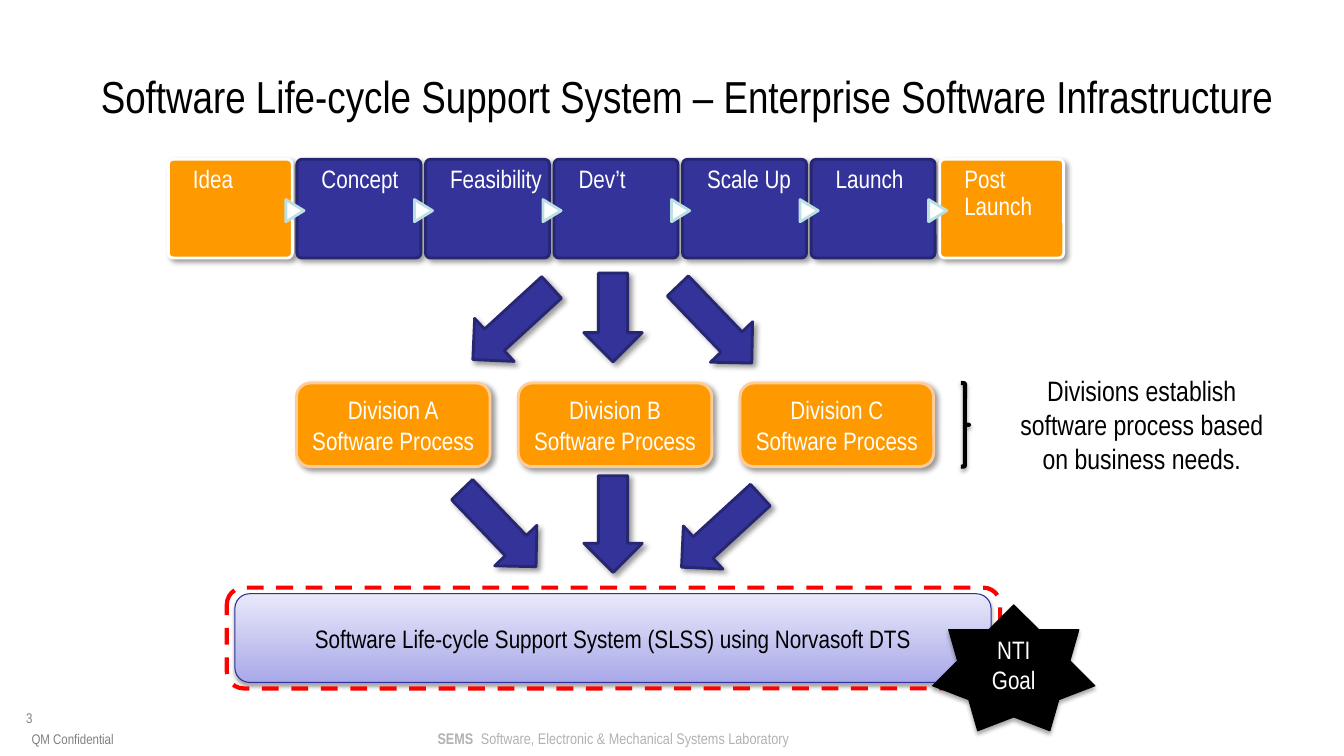
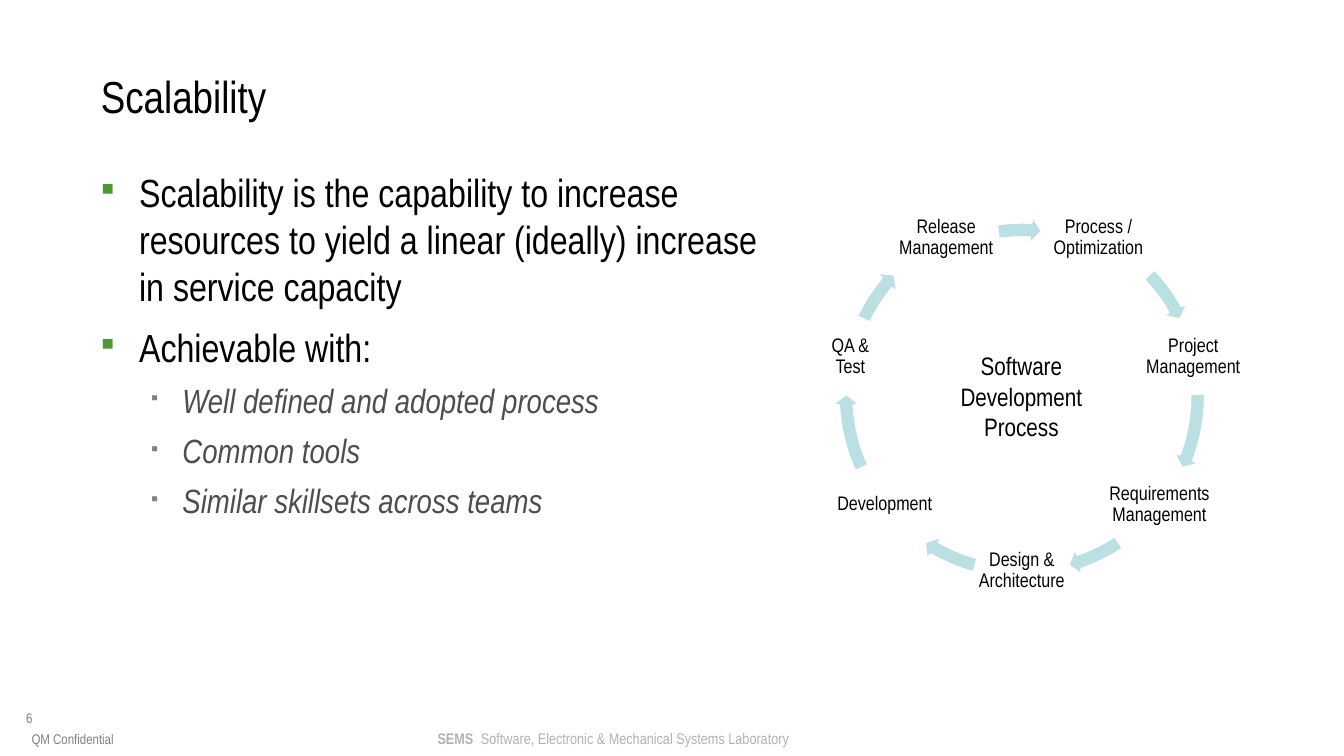
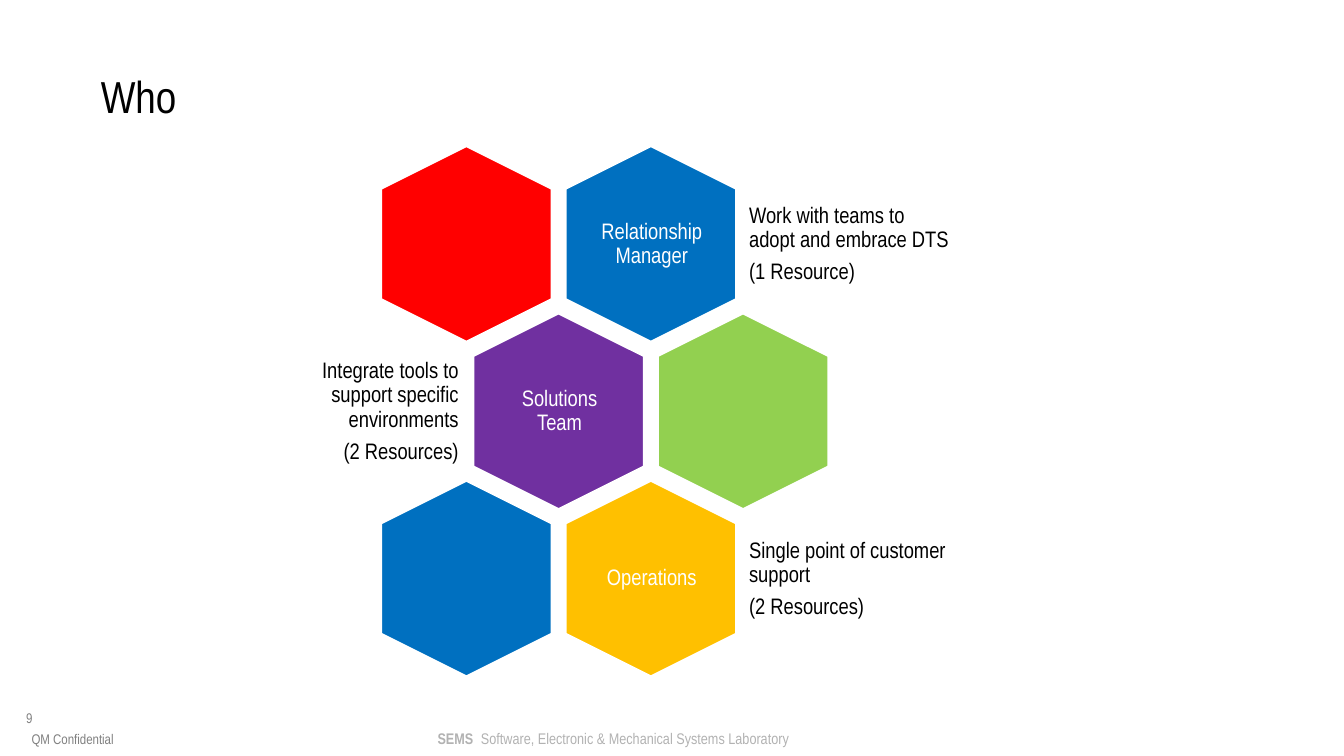
from dataclasses import dataclass

from lxml.etree import SubElement
from pptx import Presentation
from pptx.dml.color import RGBColor
from pptx.enum.dml import MSO_LINE
from pptx.enum.shapes import MSO_SHAPE
from pptx.enum.text import MSO_ANCHOR, MSO_AUTO_SIZE, PP_ALIGN
from pptx.oxml.ns import qn
from pptx.util import Inches, Pt


@dataclass(frozen=True)
class Theme:
    font: str = "Arial Narrow"
    black: str = "000000"
    white: str = "FFFFFF"
    navy: str = "333399"
    navy_edge: str = "262671"
    orange: str = "FF9900"
    peach: str = "FFCC99"
    lilac_dark: str = "A9A9E9"
    lilac_light: str = "E8E8FA"
    lilac_edge: str = "2F2F98"
    aqua: str = "BBE0E3"
    red: str = "FF0000"
    blue: str = "0070C0"
    purple: str = "7030A0"
    lime: str = "92D050"
    amber: str = "FFC000"
    bullet_green: str = "4C9933"
    dark_gray: str = "4D4D4D"
    gray: str = "808080"
    light_gray: str = "B2B2B2"
    title_size: int = 32
    body_size: int = 28
    sub_size: int = 24
    note_size: int = 20
    label_size: int = 18
    role_size: int = 16
    step_size: int = 14
    lab_size: int = 11
    footer_size: int = 10
    # Shadows: opacity %, blur pt, distance pt, direction in degrees
    soft_shadow: tuple = (40, 4, 3, 45)
    drop_shadow: tuple = (35, 3.1, 1.8, 90)


theme = Theme()


def write(shape, text, size, color, align=PP_ALIGN.LEFT, anchor=MSO_ANCHOR.TOP,
          margins=(0, 0, 0, 0), line_spacing=None, gap=0):
    """Fill a shape with one paragraph per line; margins are left, top, right, bottom."""
    frame = shape.text_frame
    frame.text = text
    frame.word_wrap = True
    frame.auto_size = MSO_AUTO_SIZE.NONE
    frame.vertical_anchor = anchor
    frame.margin_left, frame.margin_top, frame.margin_right, frame.margin_bottom = map(Inches, margins)
    for paragraph in frame.paragraphs:
        paragraph.alignment = align
        paragraph.line_spacing = line_spacing
        paragraph.space_after = Pt(gap)
        paragraph.font.name = theme.font
        paragraph.font.size = Pt(size)
        paragraph.font.color.rgb = RGBColor.from_string(color)
    return frame


def add_figure(page, kind, at, fill=None, line=theme.white, width=2, shadow=None, rotation=0):
    """Add a preset shape with its fill, outline and optional shadow."""
    shape = page.shapes.add_shape(kind, *map(Inches, at))
    shape.rotation = rotation
    if fill:
        shape.fill.solid()
        shape.fill.fore_color.rgb = RGBColor.from_string(fill)
    else:
        shape.fill.background()
    shape.line.color.rgb = RGBColor.from_string(line)
    shape.line.width = Pt(width)
    shape.shadow.inherit = False
    if shadow:
        opacity, blur, distance, direction = shadow
        effects = shape._element.spPr.find(qn("a:effectLst"))
        outer = SubElement(effects, qn("a:outerShdw"), blurRad=str(Pt(blur)), dist=str(Pt(distance)),
                           dir=str(direction * 60000), rotWithShape="0")
        tint = SubElement(outer, qn("a:srgbClr"), val=theme.black)
        SubElement(tint, qn("a:alpha"), val=str(opacity * 1000))
    return shape


deck = Presentation()
deck.slide_width, deck.slide_height = Inches(13.33), Inches(7.5)

# Shared parts: title, page number, footers
pages = []
for number, title in (
    (3, "Software Life-cycle Support System – Enterprise Software Infrastructure"),
    (6, "Scalability"),
    (9, "Who"),
):
    page = deck.slides.add_slide(deck.slide_layouts[5])
    pages.append(page)
    heading = page.shapes.title
    heading.left, heading.top, heading.width, heading.height = map(Inches, (1, 0.68, 12, 0.58))
    write(heading, title, theme.title_size, theme.black)

    box = page.shapes.add_textbox(*map(Inches, (0.26, 7.04, 0.71, 0.25)))
    write(box, str(number), theme.footer_size, theme.gray)
    box = page.shapes.add_textbox(*map(Inches, (0.11, 7.19, 1.22, 0.22)))
    write(box, "QM Confidential", theme.footer_size, theme.gray, PP_ALIGN.CENTER, MSO_ANCHOR.BOTTOM)

    box = page.shapes.add_textbox(*map(Inches, (4.34, 7.23, 3.7, 0.19)))
    paragraph = write(box, "SEMS", theme.lab_size, theme.light_gray).paragraphs[0]
    paragraph.runs[0].font.bold = True
    paragraph.add_run().text = "\tSoftware, Electronic & Mechanical Systems Laboratory"
    properties = paragraph._p.get_or_add_pPr()
    tabs = SubElement(properties, qn("a:tabLst"))
    SubElement(tabs, qn("a:tab"), pos=str(Inches(0.43)), algn="l")
    properties.find(qn("a:defRPr")).addprevious(tabs)

infrastructure, scalability, who = pages

# Life-cycle phases
phases = ["Idea", "Concept", "Feasibility", "Dev’t", "Scale Up", "Launch", "Post Launch"]
for index, phase in enumerate(phases):
    left = 1.67 + index * 1.275
    outer_phase = index in (0, len(phases) - 1)
    fill, edge = (theme.orange, theme.white) if outer_phase else (theme.navy, theme.navy_edge)
    card = add_figure(infrastructure, MSO_SHAPE.ROUNDED_RECTANGLE, (left, 1.58, 1.23, 0.98),
                      fill, edge, shadow=theme.soft_shadow)
    card.adjustments[0] = 0.05
    write(card, phase, theme.label_size, theme.white, margins=(0.23, 0.06, 0.04, 0), line_spacing=0.9)
    if index:
        add_figure(infrastructure, MSO_SHAPE.FLOWCHART_EXTRACT, (left - 0.13, 2, 0.22, 0.18),
                   theme.white, theme.aqua, rotation=90)

# Division processes
for index, division in enumerate("ABC"):
    card = add_figure(infrastructure, MSO_SHAPE.ROUNDED_RECTANGLE, (2.94 + index * 2.2, 3.8, 1.92, 0.83),
                      theme.orange, theme.peach, shadow=theme.soft_shadow)
    write(card, f"Division {division}\nSoftware Process", theme.label_size, theme.white,
          PP_ALIGN.CENTER, MSO_ANCHOR.MIDDLE, (0.1, 0.05, 0.1, 0.05))

add_figure(infrastructure, MSO_SHAPE.RIGHT_BRACE, (9.53, 3.8, 0.08, 0.83),
           line=theme.black, width=3, shadow=theme.drop_shadow)
box = infrastructure.shapes.add_textbox(*map(Inches, (9.9, 3.66, 2.85, 1.11)))
write(box, "Divisions establish software process based on business needs.", theme.note_size,
      theme.black, PP_ALIGN.CENTER, margins=(0.1, 0.05, 0.1, 0.05))

# Support system and goal
system = add_figure(infrastructure, MSO_SHAPE.ROUNDED_RECTANGLE, (2.33, 5.89, 7.5, 0.88),
                    line=theme.lilac_edge, width=0.75, shadow=theme.drop_shadow)
system.fill.gradient()
system.fill.gradient_angle = 90
for stop, color, position in zip(system.fill.gradient_stops, (theme.lilac_dark, theme.lilac_light), (0, 1)):
    stop.color.rgb = RGBColor.from_string(color)
    stop.position = position
write(system, "Software Life-cycle Support System (SLSS) using Norvasoft DTS", theme.label_size,
      theme.black, PP_ALIGN.CENTER, MSO_ANCHOR.MIDDLE)
frame_line = add_figure(infrastructure, MSO_SHAPE.ROUNDED_RECTANGLE, (2.25, 5.83, 7.67, 1),
                        line=theme.red, width=3)
frame_line.line.dash_style = MSO_LINE.DASH
goal = add_figure(infrastructure, MSO_SHAPE.STAR_7_POINT, (9.25, 6, 1.61, 1.25), theme.black,
                  theme.black, 0.75, theme.drop_shadow)
write(goal, "NTI\nGoal", theme.label_size, theme.white, PP_ALIGN.CENTER, MSO_ANCHOR.MIDDLE)

# Arrows between the levels
for left, top, height, rotation in (
    (5.79, 2.71, 0.88, 0), (6.8, 2.69, 1.06, 316.2), (4.79, 2.68, 1.06, 47.5),
    (5.79, 4.72, 0.96, 0), (4.66, 4.71, 1.06, 316.2), (6.86, 4.74, 1.06, 47.5),
):
    add_figure(infrastructure, MSO_SHAPE.DOWN_ARROW, (left, top, 0.58, height), theme.navy,
               theme.navy_edge, shadow=theme.soft_shadow, rotation=rotation)

# Scalability bullets
points = [
    (0, "Scalability is the capability to increase resources to yield a linear (ideally) increase in service capacity"),
    (0, "Achievable with:"),
    (1, "Well defined and adopted process"),
    (1, "Common tools"),
    (1, "Similar skillsets across teams"),
]
# Per level: indent, hang, bullet colour, bullet size %, space before, space after, size, colour
levels = [
    (0.38, 0.38, theme.bullet_green, 100, 5.6, 4.2, theme.body_size, theme.black),
    (0.81, 0.31, theme.gray, 60, 2.4, 4.8, theme.sub_size, theme.dark_gray),
]
box = scalability.shapes.add_textbox(*map(Inches, (1, 1.67, 6.71, 4.53)))
frame = write(box, "\n".join(text for _, text in points), theme.body_size, theme.black)
for index, (paragraph, (level, _)) in enumerate(zip(frame.paragraphs, points)):
    indent, hang, bullet_color, bullet_size, before, after, size, color = levels[level]
    paragraph.level = level
    paragraph.space_before = Pt(before if index else 0)
    paragraph.space_after = Pt(after)
    properties = paragraph._p.get_or_add_pPr()
    properties.set("marL", str(Inches(indent)))
    properties.set("indent", str(-Inches(hang)))
    font_defaults = properties.find(qn("a:defRPr"))
    properties.remove(font_defaults)
    SubElement(SubElement(properties, qn("a:buClr")), qn("a:srgbClr"), val=bullet_color)
    SubElement(properties, qn("a:buSzPct"), val=str(bullet_size * 1000))
    SubElement(properties, qn("a:buFont"), typeface=theme.font)
    SubElement(properties, qn("a:buChar"), char="▪")
    properties.append(font_defaults)
    paragraph.font.size = Pt(size)
    paragraph.font.color.rgb = RGBColor.from_string(color)
    paragraph.font.italic = level == 1

# Development cycle: label, left, top, width, arrow end and start angles in degrees
box = scalability.shapes.add_textbox(*map(Inches, (9.29, 3.43, 1.68, 1.01)))
write(box, "Software Development Process", theme.label_size, theme.black, PP_ALIGN.CENTER,
      margins=(0.1, 0.05, 0.1, 0.05))
steps = [
    ("Process / Optimization", 10.34, 1.99, 1.11, 330.48, 316.28),
    ("Project Management", 11.33, 3.17, 1.01, 20.53, 359.27),
    ("Requirements Management", 10.91, 4.64, 1.18, 70.89, 56.44),
    ("Design & Architecture", 9.68, 5.3, 0.91, 119.66, 105.2),
    ("Development", 8.24, 4.64, 1.07, 176.82, 155.56),
    ("QA & Test", 8.07, 3.17, 0.73, 219.82, 205.61),
    ("Release Management", 8.87, 1.99, 1.03, 272.76, 261.99),
]
for label, left, top, width, end, start in steps:
    box = scalability.shapes.add_textbox(*map(Inches, (left, top, width, 0.73)))
    write(box, label, theme.step_size, theme.black, PP_ALIGN.CENTER, MSO_ANCHOR.MIDDLE,
          (0.02, 0.02, 0.02, 0.02), 0.9)
    ring_top = 2.13 if label == "Release Management" else 2.03
    arrow = add_figure(scalability, MSO_SHAPE.CIRCULAR_ARROW, (8.24, ring_top, 3.79, 3.79), theme.aqua)
    # Angle adjustments count 0.6 per degree
    for index, value in enumerate((0.04, 3.91 * 0.6, end * 0.6, start * 0.6, 0.04)):
        arrow.adjustments[index] = value

# Team honeycomb: column, row, colour, role
cells = [
    (1, 0, theme.blue, "Relationship Manager"),
    (0, 0, theme.red, None),
    (0.5, 1, theme.purple, "Solutions Team"),
    (1.5, 1, theme.lime, None),
    (1, 2, theme.amber, "Operations"),
    (0, 2, theme.blue, None),
]
for column, row, color, role in cells:
    left, top = 3.65 + column * 1.83, 1.57 + row * 1.66
    cell = add_figure(who, MSO_SHAPE.HEXAGON, (left, top, 1.95, 1.7), color, rotation=90)
    cell.adjustments[0] = 0.25
    if role:
        box = who.shapes.add_textbox(*map(Inches, (left + 0.4, top + 0.18, 1.17, 1.34)))
        write(box, role, theme.role_size, theme.white, PP_ALIGN.CENTER, MSO_ANCHOR.MIDDLE,
              (0.07, 0.07, 0.07, 0.07), 0.9)

# Duties beside the cells
duties = [
    (7.36, 2.18, PP_ALIGN.LEFT, "Work with teams to adopt and embrace DTS\n(1 Resource)"),
    (2.51, 2.11, PP_ALIGN.RIGHT, "Integrate tools to support specific environments\n(2 Resources)"),
    (7.36, 2.18, PP_ALIGN.LEFT, "Single point of customer support\n(2 Resources)"),
]
for row, (left, width, align, duty) in enumerate(duties):
    box = who.shapes.add_textbox(*map(Inches, (left, 1.84 + row * 1.66, width, 1.17)))
    write(box, duty, theme.role_size, theme.black, align, MSO_ANCHOR.MIDDLE,
          (0.07, 0.07, 0.07, 0.07), 0.9, gap=5.6)

deck.save("out.pptx")
